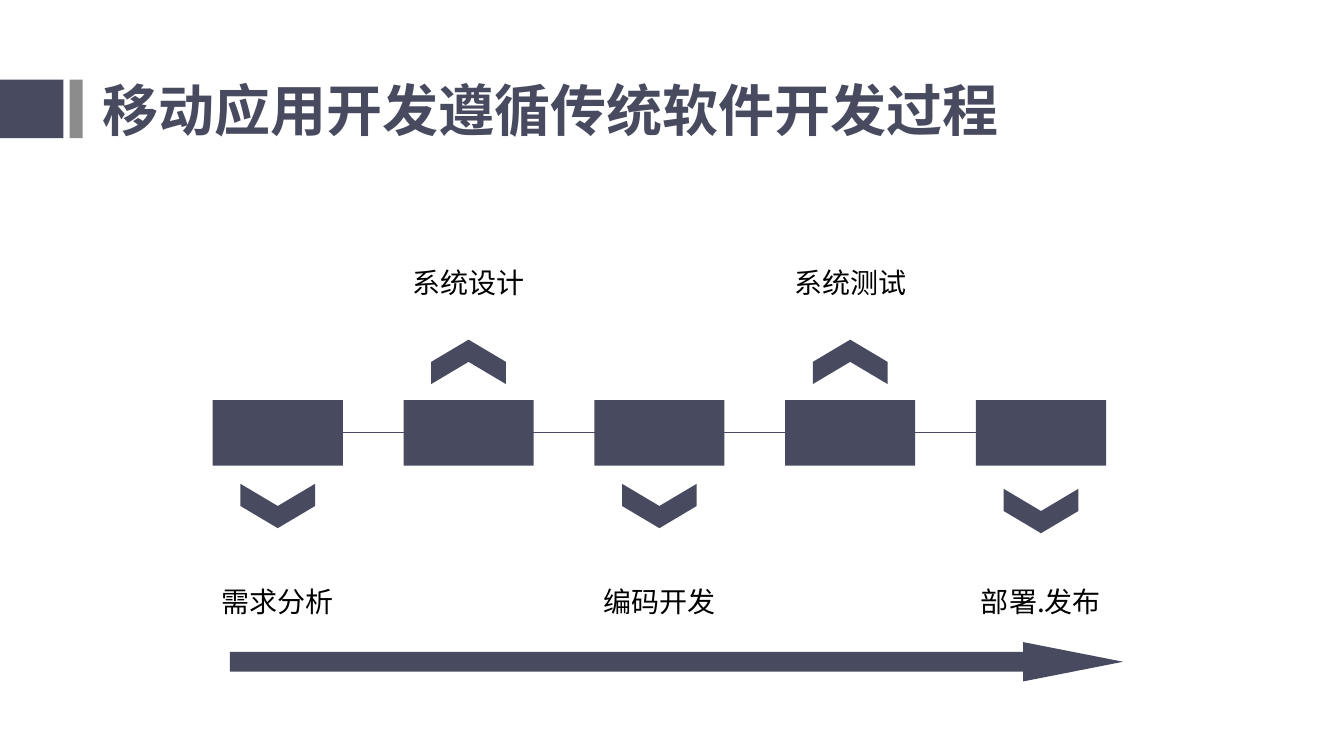
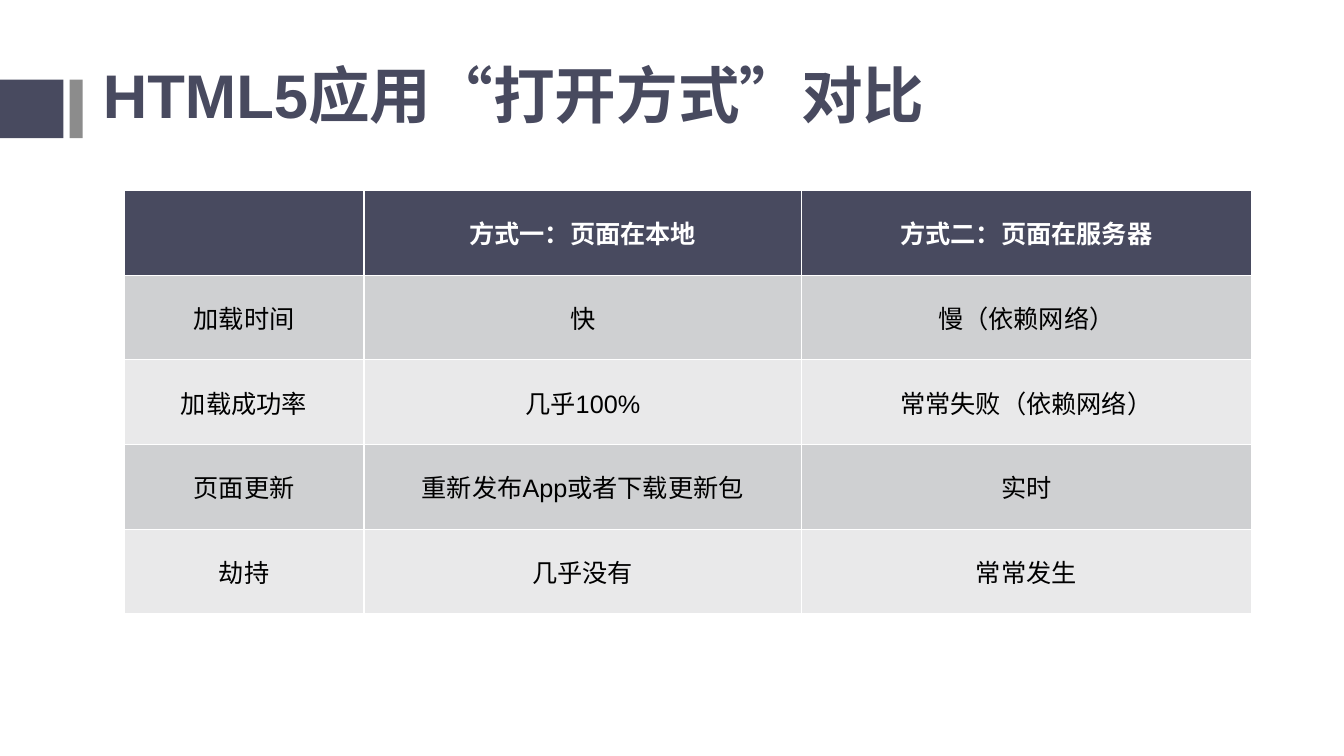
from lxml import etree
from pptx import Presentation
from pptx.dml.color import RGBColor
from pptx.enum.lang import MSO_LANGUAGE_ID
from pptx.enum.shapes import MSO_CONNECTOR, MSO_SHAPE
from pptx.enum.text import MSO_ANCHOR, MSO_AUTO_SIZE, PP_ALIGN
from pptx.oxml.ns import qn
from pptx.util import Inches, Pt

RECT, CHEVRON, ARROW = MSO_SHAPE.RECTANGLE, MSO_SHAPE.CHEVRON, MSO_SHAPE.RIGHT_ARROW
LEFT, CENTER, MIDDLE = PP_ALIGN.LEFT, PP_ALIGN.CENTER, MSO_ANCHOR.MIDDLE
NO_FIT, STRAIGHT = MSO_AUTO_SIZE.NONE, MSO_CONNECTOR.STRAIGHT
CHINESE = MSO_LANGUAGE_ID.SIMPLIFIED_CHINESE

NAVY = RGBColor(0x48, 0x4A, 0x5F)
GRAY = RGBColor(0x8C, 0x8C, 0x8C)
BLACK = RGBColor(0, 0, 0)
WHITE = RGBColor(255, 255, 255)
BANDS = [RGBColor(0xCF, 0xD0, 0xD2), RGBColor(0xE9, 0xE9, 0xEA)]
LATIN, HAN = "Arial", "Noto Sans CJK SC"

# Content
FLOW_TITLE = "移动应用开发遵循传统软件开发过程"
STEPS = ["需求分析", "系统设计", "编码开发", "系统测试", "部署.发布"]
TABLE_TITLE = "HTML5应用“打开方式”对比"
ROWS = [
    ("", "方式一：页面在本地", "方式二：页面在服务器"),
    ("加载时间", "快", "慢（依赖网络）"),
    ("加载成功率", "几乎100%", "常常失败（依赖网络）"),
    ("页面更新", "重新发布App或者下载更新包", "实时"),
    ("劫持", "几乎没有", "常常发生"),
]

# Formats
TITLE = dict(name=LATIN, bold=True)
LABEL = dict(name=HAN, size=Pt(20))
HEAD = dict(name=LATIN, size=Pt(18), bold=True)
CELL = dict(name=LATIN, size=Pt(18), bold=False)

# Layout, in inches
COLS, ROW_H = (2.38, 4.34, 4.46), 0.84
BOX_W, BOX_H, BOX_TOP = 1.29, 0.65, 3.97
FIRST, LAST = 2.11, 9.68
CHEV_W, CHEV_H = 0.44, 0.74
LABEL_W, LABEL_H = 2.69, 0.88


def write(frame, text, style, color, align=CENTER, spacing=None):
    para = frame.paragraphs[0]
    para.alignment, para.line_spacing = align, spacing
    run = para.add_run()
    run.text = text
    for key, value in style.items():
        setattr(run.font, key, value)
    run.font.color.rgb = color
    run.font.language_id = CHINESE
    etree.SubElement(run.font._element, qn("a:ea"), typeface=HAN)


def add_block(slide, kind, left, top, width, height, color=NAVY, turn=0):
    shape = slide.shapes.add_shape(kind, *map(Inches, (left, top, width, height)))
    shape.shadow.inherit = False
    shape.fill.solid()
    shape.fill.fore_color.rgb = color
    shape.line.fill.background()
    shape.rotation = turn
    return shape


def add_label(slide, text, left, top):
    box = slide.shapes.add_textbox(*map(Inches, (left, top, LABEL_W, LABEL_H)))
    frame = box.text_frame
    frame.word_wrap, frame.vertical_anchor = True, MIDDLE
    write(frame, text, LABEL, BLACK, spacing=1.2)


def add_slide(deck, layout, title, size, top):
    slide = deck.slides.add_slide(layout)
    head = slide.shapes.title
    head.left, head.top, head.width, head.height = map(Inches, (0.92, top, 11.5, 1.45))
    frame = head.text_frame
    frame.word_wrap, frame.vertical_anchor, frame.auto_size = True, MIDDLE, NO_FIT
    write(frame, title, dict(TITLE, size=Pt(size)), NAVY, LEFT, 0.9)
    return slide


def add_bands(layout, slide):
    # Shared bands are drawn on a slide, then moved to its layout
    for left, width, color in ((0, 0.63, NAVY), (0.69, 0.13, GRAY)):
        band = add_block(slide, RECT, left, 0.79, width, 0.58, color)
        layout.shapes.element.append(band.element)


def draw_flow(slide):
    # Line behind the boxes
    ends = map(Inches, (2.76, 4.29, 10.66, 4.29))
    line = slide.shapes.add_connector(STRAIGHT, *ends)
    line.line.color.rgb, line.line.width = NAVY, Pt(0.5)
    etree.SubElement(line.element.spPr, qn("a:effectLst"))

    # Steps point down and up in turn
    pitch = (LAST - FIRST) / (len(STEPS) - 1)
    for i, step in enumerate(STEPS):
        left = FIRST + i * pitch
        mid = left + BOX_W / 2
        up = i % 2 == 1
        chev_top = 3.22 if up else 4.7 if i == len(STEPS) - 1 else 4.65
        add_block(slide, RECT, left, BOX_TOP, BOX_W, BOX_H)
        add_block(slide, CHEVRON, mid - CHEV_W / 2, chev_top, CHEV_W, CHEV_H,
                  turn=270 if up else 90)
        add_label(slide, step, mid - LABEL_W / 2, 2.33 if up else 5.49)

    # Long arrow
    arrow = add_block(slide, ARROW, 2.28, 6.37, 8.86, 0.39)
    arrow.adjustments[0], arrow.adjustments[1] = 0.5, 2.54


def draw_table(slide):
    area = map(Inches, (1.23, 1.89, sum(COLS), ROW_H * len(ROWS)))
    table = slide.shapes.add_table(len(ROWS), len(COLS), *area).table
    for col, width in zip(table.columns, COLS):
        col.width = Inches(width)
    for r, row in enumerate(ROWS):
        fill, style, color = (BANDS[(r - 1) % 2], CELL, BLACK) if r else (NAVY, HEAD, WHITE)
        for c, text in enumerate(row):
            cell = table.cell(r, c)
            cell.fill.solid()
            cell.fill.fore_color.rgb = fill
            cell.vertical_anchor = MIDDLE
            if text:
                write(cell.text_frame, text, style, color)


def main():
    deck = Presentation()
    deck.slide_width, deck.slide_height = Inches(13.33), Inches(7.5)
    layout = deck.slide_layouts.get_by_name("Title Only")
    flow = add_slide(deck, layout, FLOW_TITLE, 40, 0.4)
    add_bands(layout, flow)
    draw_flow(flow)
    draw_table(add_slide(deck, layout, TABLE_TITLE, 44, 0.25))
    deck.save("out.pptx")


if __name__ == "__main__":
    main()
